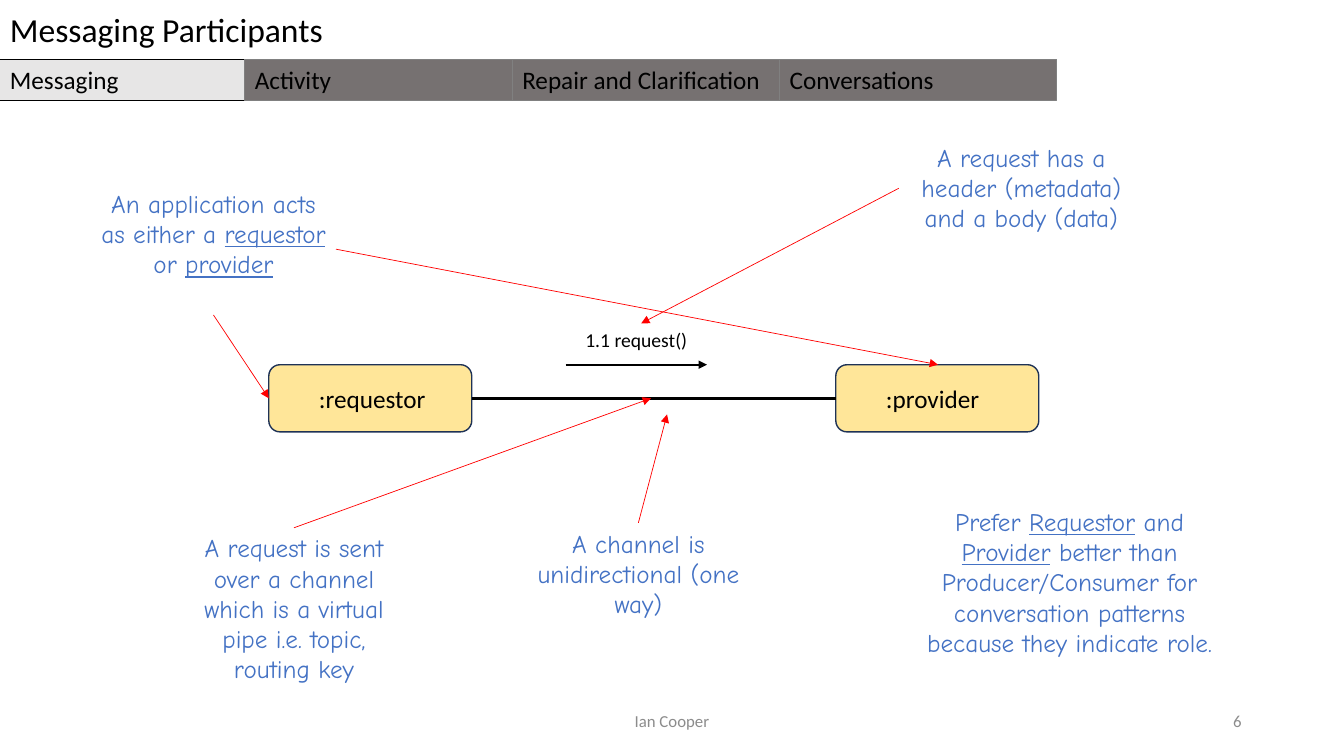
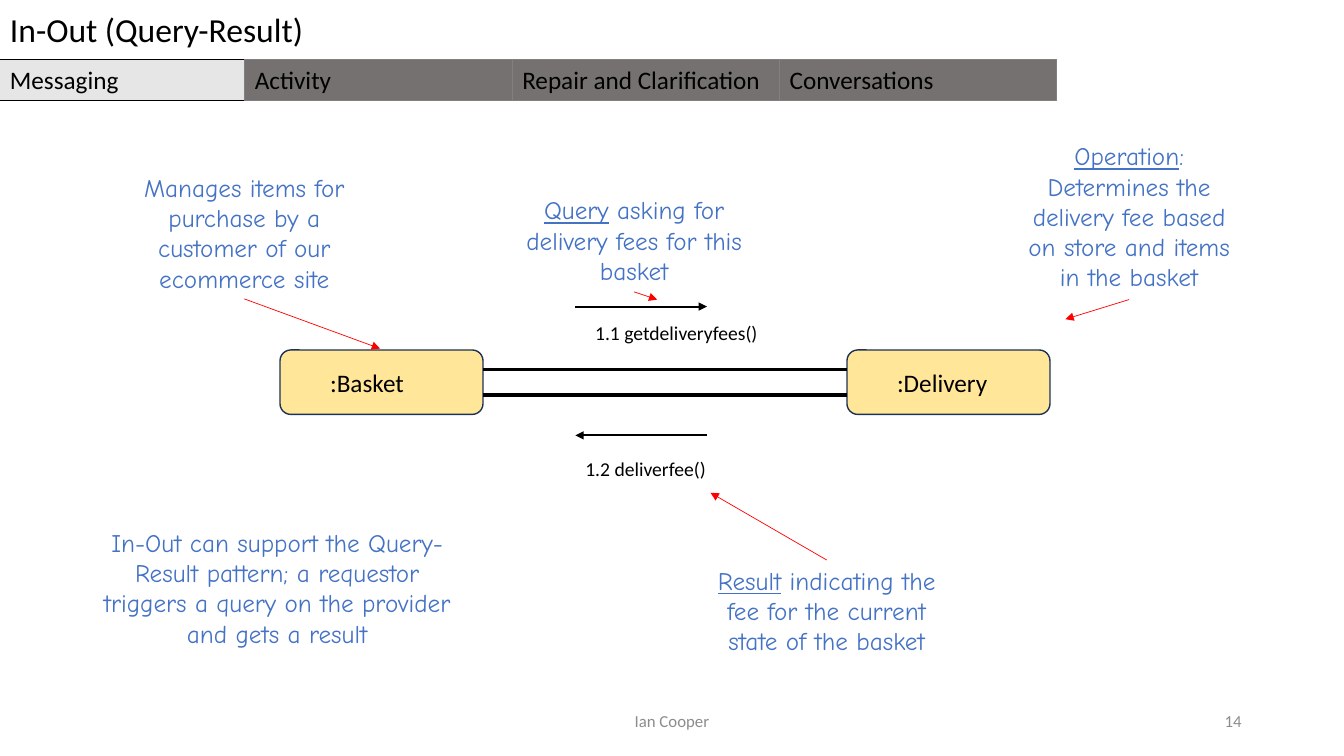
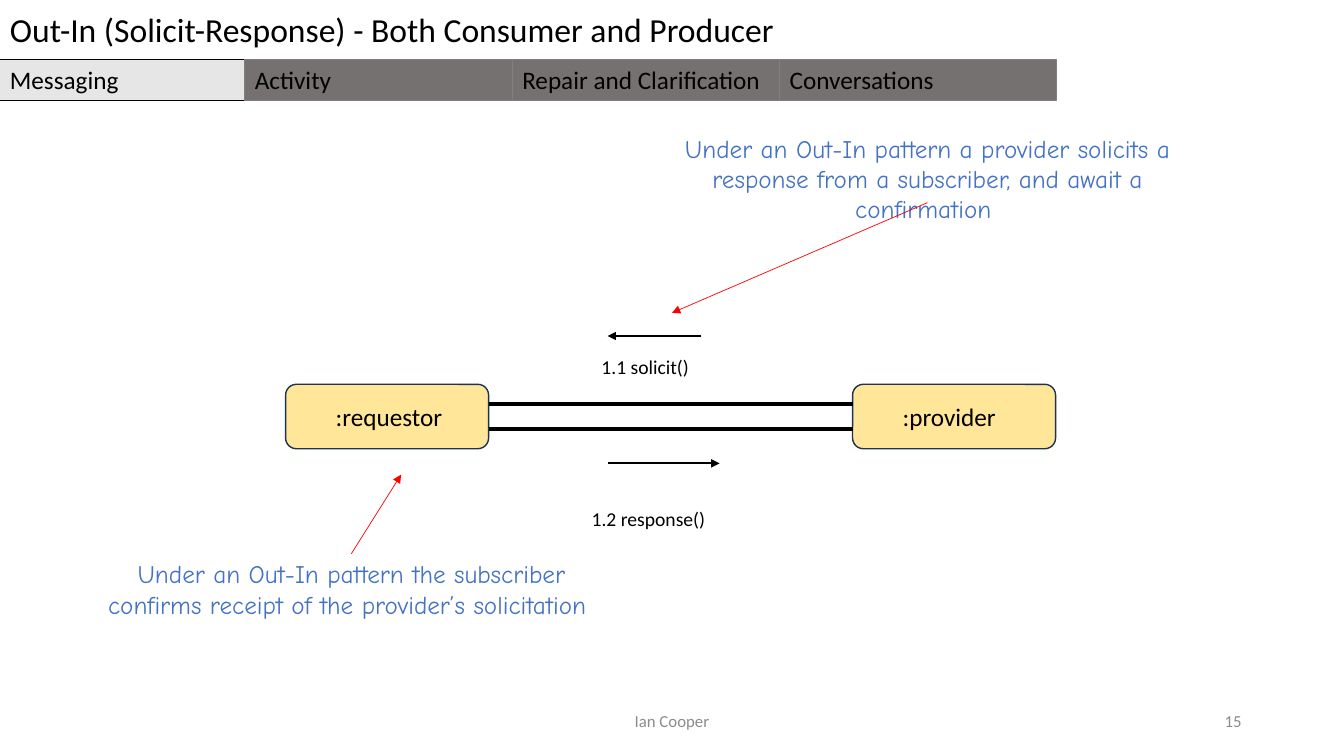
from dataclasses import dataclass
from itertools import accumulate
from typing import NamedTuple

from lxml.etree import SubElement
from pptx import Presentation
from pptx.dml.color import RGBColor
from pptx.enum.shapes import MSO_CONNECTOR, MSO_SHAPE
from pptx.enum.text import MSO_ANCHOR, PP_ALIGN
from pptx.oxml.ns import qn
from pptx.util import Pt


@dataclass(frozen=True)
class Theme:
    body: str = "Calibri"
    hand: str = "Comic Neue"
    ink: str = "000000"
    paper: str = "FFFFFF"
    note: str = "4472C4"
    faint: str = "8C8C8C"
    point: str = "FF0000"
    node: str = "FFE699"
    edge: str = "1E3256"
    live: str = "E7E6E6"
    idle: str = "767171"
    rim: str = "808080"
    head: int = 24
    text: int = 18
    label: int = 14
    foot: int = 12


class Box(NamedTuple):
    x: float
    y: float
    w: float
    h: float

    def spot(self, side):
        """Point at the given fractions of width and height."""
        return self.x + self.w * side[0], self.y + self.h * side[1]


T = Theme()
WIDE, HIGH = 960, 540
TABS = {"Messaging": 175, "Activity": 191, "Repair and Clarification": 191,
        "Conversations": 198}
TOP, BASE, LEFT, RIGHT = (0.5, 0), (0.5, 1), (0, 0.5), (1, 0.5)


def style(item, values):
    for name, value in values.items():
        setattr(item, name, value)


def write(shape, text, size, color=T.ink, face=T.body, align=PP_ALIGN.LEFT,
          **frame):
    """Fill a shape with one paragraph; _words_ are underlined."""
    style(shape.text_frame, {"word_wrap": True,
                             "vertical_anchor": MSO_ANCHOR.TOP, **frame})
    para = shape.text_frame.paragraphs[0]
    para.alignment = align
    for turn, part in enumerate(text.split("_")):
        if part:
            run = para.add_run()
            run.text = part
            style(run.font, {"name": face, "size": Pt(size),
                             "underline": True if turn % 2 else None})
            run.font.color.rgb = RGBColor.from_string(color)


def label(slide, box, text, size, **look):
    write(slide.shapes.add_textbox(*map(Pt, box)), text, size, **look)


def panel(slide, box, fill, rim=None, width=0.75, kind=MSO_SHAPE.RECTANGLE):
    shape = slide.shapes.add_shape(kind, *map(Pt, box))
    shape.shadow.inherit = False
    shape.fill.solid()
    shape.fill.fore_color.rgb = RGBColor.from_string(fill)
    if rim:
        shape.line.color.rgb = RGBColor.from_string(rim)
        shape.line.width = Pt(width)
    else:
        shape.line.fill.background()
    return shape


def line(slide, start, end, color, width, arrow=True):
    link = slide.shapes.add_connector(MSO_CONNECTOR.STRAIGHT,
                                      *map(Pt, (*start, *end)))
    link.line.color.rgb = RGBColor.from_string(color)
    link.line.width = Pt(width)
    if arrow:
        SubElement(link.line._ln, qn("a:tailEnd"), type="triangle")
    SubElement(link._element.spPr, qn("a:effectLst"))


def header(slide, box, title):
    bar = panel(slide, box, T.paper)
    write(bar, title, T.head, margin_top=Pt(7.2), margin_bottom=Pt(7.2))


def tabs(slide, box, live):
    ends = accumulate(TABS.values())
    for (name, width), end in zip(TABS.items(), ends):
        fill, rim = (T.live, T.ink) if name == live else (T.idle, T.rim)
        place = Box(box.x + end - width, box.y, width, box.h)
        write(panel(slide, place, fill, rim), name, T.text)


def footer(slide, box, number):
    look = {"color": T.faint, "vertical_anchor": MSO_ANCHOR.MIDDLE}
    label(slide, Box(box.x, box.y, 324, box.h), "Ian Cooper", T.foot,
          align=PP_ALIGN.CENTER, **look)
    label(slide, Box(box.x + 360, box.y, 216, box.h), str(number), T.foot,
          align=PP_ALIGN.RIGHT, **look)


def pair(slide, box, names, lanes):
    """Two nodes at the ends of the box, joined by channels."""
    wide = 145
    left, right = box.x, box.x + box.w - wide
    for x, name in zip((left, right), names):
        node = panel(slide, Box(x, box.y, wide, box.h), T.node, T.edge, 1,
                     MSO_SHAPE.ROUNDED_RECTANGLE)
        write(node, name, T.text, margin_left=Pt(33.5),
              vertical_anchor=MSO_ANCHOR.MIDDLE)
    for lane in lanes:
        y = box.y + lane
        line(slide, (left + wide, y), (right, y), T.ink, 2.5, arrow=False)


def call(slide, box, text, ends, drop):
    """A message name, with an arrow offset from the corner of its box."""
    label(slide, box, text, T.label)
    start, end = ((box.x + shift, box.y + drop) for shift in ends)
    line(slide, start, end, T.ink, 1.5)


def note(slide, box, text, *aims):
    """A remark, with a pointer from a side of its box to each tip."""
    label(slide, box, text, T.text, color=T.note, face=T.hand,
          align=PP_ALIGN.CENTER)
    for side, tip in aims:
        line(slide, box.spot(side), tip, T.point, 0.5)


def page(deck, number, title, duo, calls, notes):
    slide = deck.slides.add_slide(deck.slide_layouts[6])
    header(slide, Box(0, -1, WIDE, 44), title)
    tabs(slide, Box(0, 42.5, sum(TABS.values()), 29), "Messaging")
    footer(slide, Box(318, 500.5, 576, 29), number)
    pair(slide, *duo)
    for item in calls:
        call(slide, *item)
    for item in notes:
        note(slide, *item)


PAGES = [
    (6, "Messaging Participants",
     (Box(192, 260.5, 550, 48), (":requestor", ":provider"), (24,)),
     [(Box(411, 231, 94, 24), "1.1 request()", (-7, 94), 29.5)],
     [(Box(65, 131, 175, 94),
       "An application acts as either a _requestor_ or _provider_",
       (BASE, (192, 284.5)), (RIGHT, (670, 260.5))),
      (Box(122.5, 377, 175, 117),
       "A request is sent over a channel which is a virtual pipe i.e. topic, "
       "routing key", (TOP, (465, 284.5))),
      (Box(642, 98, 175, 73),
       "A request has a header (metadata) and a body (data)",
       (LEFT, (458, 231))),
      (Box(368.5, 373.5, 175, 73), "A channel is unidirectional (one way)",
       (TOP, (476.5, 296))),
      (Box(642, 358, 244, 117),
       "Prefer _Requestor_ and _Provider_ better than Producer/Consumer for "
       "conversation patterns because they indicate role.")]),
    (14, "In-Out (Query-Result)",
     (Box(200, 250, 550, 46), (":Basket", ":Delivery"), (14, 32)),
     [(Box(418, 225.5, 138, 24), "1.1 getdeliveryfees()", (-7, 87), -6.5),
      (Box(411, 322.5, 125, 24), "1.2 deliverfee()", (94, 0), -11.5)],
     [(Box(66, 373, 264, 94),
       "In-Out can support the Query-Result pattern; a requestor triggers "
       "a query on the provider and gets a result"),
      (Box(87, 119.5, 175, 94),
       "Manages items for purchase by a customer of our ecommerce site",
       (BASE, (271.5, 249))),
      (Box(365.5, 135.5, 175, 73),
       "_Query_ asking for delivery fees for this basket",
       (BASE, (469.5, 214))),
      (Box(719, 97, 175, 117),
       "_Operation_: Determines the delivery fee based on store and items "
       "in the basket", (BASE, (761, 228))),
      (Box(503, 400, 175, 94),
       "_Result_ indicating the fee for the current state of the basket",
       (TOP, (507.5, 352)))]),
    (15, "Out-In (Solicit-Response) - Both Consumer and Producer",
     (Box(204, 274.5, 550, 46), (":requestor", ":provider"), (14, 32)),
     [(Box(422.5, 250, 113, 24), "1.1 solicit()", (78.5, 11.5), -10),
      (Box(415.5, 358.5, 155, 24), "1.2 response()", (18.5, 98.5), -27.5)],
     [(Box(480, 91.5, 365, 73),
       "Under an Out-In pattern a provider solicits a response from a "
       "subscriber, and await a confirmation ", ((0.5, 0.73), (480, 223.5))),
      (Box(68.5, 395.5, 365, 73),
       "Under an Out-In pattern the subscriber confirms receipt of the "
       "provider’s solicitation ", (TOP, (286.5, 339)))]),
]


def main():
    deck = Presentation()
    style(deck, {"slide_width": Pt(WIDE), "slide_height": Pt(HIGH)})
    for item in PAGES:
        page(deck, *item)
    deck.save("out.pptx")


if __name__ == "__main__":
    main()
